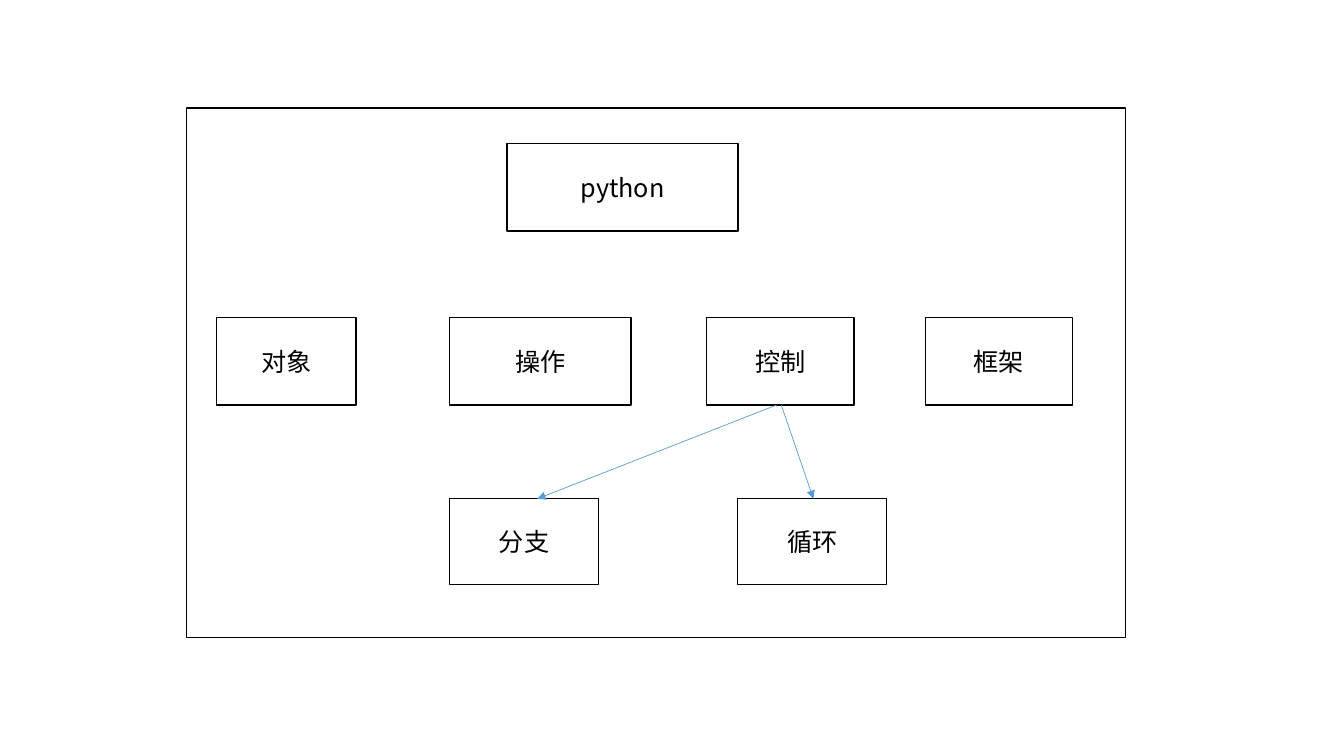
"""Build a slide that maps Python to its topics and control structures."""
from dataclasses import dataclass
from typing import NamedTuple

from lxml.etree import SubElement
from pptx import Presentation
from pptx.dml.color import RGBColor
from pptx.enum.shapes import MSO_CONNECTOR, MSO_SHAPE
from pptx.enum.text import MSO_ANCHOR, PP_ALIGN
from pptx.oxml.ns import qn
from pptx.shapes.autoshape import Shape
from pptx.slide import Slide
from pptx.text.text import TextFrame
from pptx.util import Cm, Pt


@dataclass(frozen=True)
class Theme:
    paper: RGBColor = RGBColor(0xFF, 0xFF, 0xFF)
    ink: RGBColor = RGBColor(0x00, 0x00, 0x00)
    arrow: RGBColor = RGBColor(0x5B, 0x9B, 0xD5)
    font: str = "Noto Sans CJK SC"
    label_size: float = 18
    border_width: float = 1
    arrow_width: float = 0.5


class Box(NamedTuple):
    left: float
    top: float
    width: float
    height: float
    label: str = ""


class Arrow(NamedTuple):
    start: tuple[float, float]
    end: tuple[float, float]


THEME = Theme()
TOPIC_TOP, TOPIC_HEIGHT = 8.0, 2.21
BRANCH_TOP, BRANCH_WIDTH, BRANCH_HEIGHT = 12.57, 3.76, 2.16
TOPIC_BOTTOM = TOPIC_TOP + TOPIC_HEIGHT

FRAME = Box(4.7, 2.72, 23.67, 13.34)
LANGUAGE = Box(12.78, 3.61, 5.82, TOPIC_HEIGHT, "python")
TOPICS = [
    Box(left, TOPIC_TOP, width, TOPIC_HEIGHT, label)
    for left, width, label in [
        (5.46, 3.51, "对象"),
        (11.33, 4.57, "操作"),
        (17.81, 3.71, "控制"),
        (23.32, 3.71, "框架"),
    ]
]
BRANCHES = [
    Box(left, BRANCH_TOP, BRANCH_WIDTH, BRANCH_HEIGHT, label)
    for left, label in [(11.33, "分支"), (18.59, "循环")]
]
CONTROL_ARROWS = [
    Arrow((19.56, TOPIC_BOTTOM), (13.54, BRANCH_TOP)),
    Arrow((19.69, TOPIC_BOTTOM), (20.5, BRANCH_TOP)),
]


def write_text(frame: TextFrame, text: str, *, size: float = THEME.label_size,
               color: RGBColor = THEME.ink, font: str = THEME.font,
               align: PP_ALIGN = PP_ALIGN.CENTER) -> None:
    """Write one formatted line, with its font set for Latin and Chinese."""
    frame.word_wrap = True
    frame.vertical_anchor = MSO_ANCHOR.MIDDLE
    paragraph = frame.paragraphs[0]
    paragraph.alignment = align
    run = paragraph.add_run()
    run.text = text
    run.font.size = Pt(size)
    run.font.name = font
    run.font.color.rgb = color
    SubElement(run.font._element, qn("a:ea"), typeface=font)


def draw_box(slide: Slide, box: Box) -> Shape:
    """Draw a bordered rectangle with its label, if it has one."""
    shape = slide.shapes.add_shape(
        MSO_SHAPE.RECTANGLE, Cm(box.left), Cm(box.top), Cm(box.width), Cm(box.height))
    shape.shadow.inherit = False
    shape.fill.solid()
    shape.fill.fore_color.rgb = THEME.paper
    shape.line.color.rgb = THEME.ink
    shape.line.width = Pt(THEME.border_width)
    if box.label:
        write_text(shape.text_frame, box.label)
    return shape


def draw_arrow(slide: Slide, arrow: Arrow) -> None:
    """Draw a thin straight line with a triangle at its end."""
    connector = slide.shapes.add_connector(
        MSO_CONNECTOR.STRAIGHT, *map(Cm, arrow.start), *map(Cm, arrow.end))
    connector.line.color.rgb = THEME.arrow
    connector.line.width = Pt(THEME.arrow_width)
    SubElement(connector.line._get_or_add_ln(), qn("a:tailEnd"), type="triangle")
    SubElement(connector._element.spPr, qn("a:effectLst"))


def build() -> None:
    """Build the slide and save it."""
    deck = Presentation()
    deck.slide_width, deck.slide_height = Cm(33.87), Cm(19.05)
    slide = deck.slides.add_slide(deck.slide_layouts[6])
    for box in [FRAME, LANGUAGE, *TOPICS, *BRANCHES]:
        draw_box(slide, box)
    for arrow in CONTROL_ARROWS:
        draw_arrow(slide, arrow)
    deck.save("out.pptx")


build()
